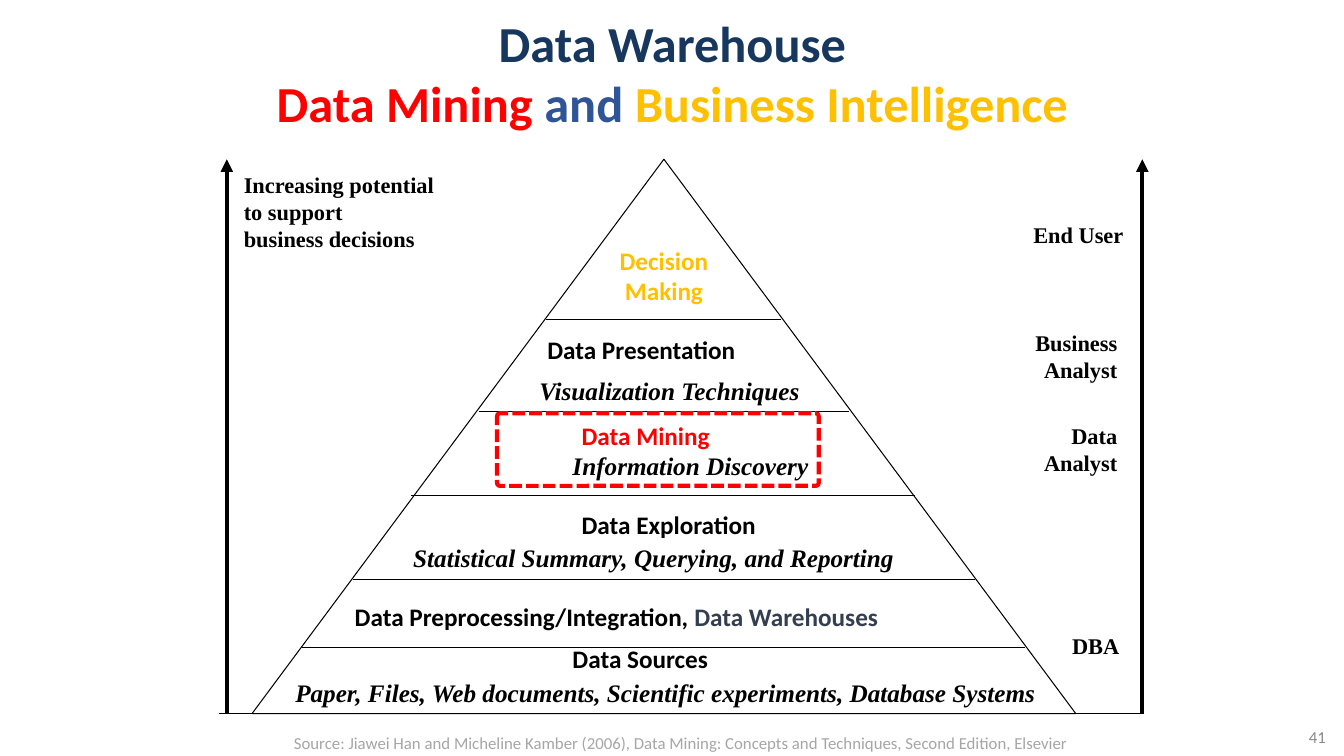
from lxml import etree
from pptx import Presentation
from pptx.dml.color import RGBColor
from pptx.enum.dml import MSO_LINE
from pptx.enum.shapes import MSO_CONNECTOR, MSO_SHAPE
from pptx.enum.text import MSO_ANCHOR, MSO_AUTO_SIZE, PP_ALIGN
from pptx.oxml.ns import qn
from pptx.util import Inches, Pt

BLACK = RGBColor(0x00, 0x00, 0x00)
NAVY = RGBColor(0x17, 0x37, 0x5E)
BLUE = RGBColor(0x2F, 0x55, 0x97)
SLATE = RGBColor(0x33, 0x3F, 0x50)
RED = RGBColor(0xFF, 0x00, 0x00)
GOLD = RGBColor(0xFF, 0xC0, 0x00)
GRAY = RGBColor(0x89, 0x89, 0x89)
LIGHT_GRAY = RGBColor(0xA6, 0xA6, 0xA6)

SANS = "Calibri"
SERIF = "Times New Roman"
LEFT, CENTER, RIGHT = PP_ALIGN.LEFT, PP_ALIGN.CENTER, PP_ALIGN.RIGHT
TOP, MIDDLE = MSO_ANCHOR.TOP, MSO_ANCHOR.MIDDLE
STRAIGHT = MSO_CONNECTOR.STRAIGHT
TRIANGLE = MSO_SHAPE.FLOWCHART_EXTRACT
ROUNDED = MSO_SHAPE.ROUNDED_RECTANGLE
DASHED = MSO_LINE.SQUARE_DOT
FIT_SHAPE, NO_FIT = MSO_AUTO_SIZE.SHAPE_TO_FIT_TEXT, MSO_AUTO_SIZE.NONE


def add_span(para, text, font=SANS, size=18, color=BLACK, bold=True, italic=False):
    span = para.add_run()
    span.text = text
    span.font.name = font
    span.font.size = Pt(size)
    span.font.color.rgb = color
    span.font.bold = bold
    span.font.italic = italic


class SlideBuilder:
    def __init__(self, page, thin=0.75, thick=3):
        self.page = page
        self.thin = thin
        self.thick = thick

    def text(self, place, lines, align=LEFT, anchor=TOP, wrap=False, fit=FIT_SHAPE, **style):
        """Each line is a string, or a list of (text, color) spans."""
        box = self.page.shapes.add_textbox(*map(Inches, place))
        frame = box.text_frame
        frame.word_wrap = wrap
        frame.auto_size = fit
        frame.vertical_anchor = anchor
        for index, line in enumerate(lines):
            para = frame.add_paragraph() if index else frame.paragraphs[0]
            para.alignment = align
            if isinstance(line, str):
                add_span(para, line, **style)
            else:
                for text, color in line:
                    add_span(para, text, color=color, **style)

    def line(self, start, end, arrow=False):
        line = self.page.shapes.add_connector(STRAIGHT, *map(Inches, start + end))
        line.line.color.rgb = BLACK
        line.line.width = Pt(self.thick if arrow else self.thin)
        properties = line.line._get_or_add_ln()
        if arrow:
            etree.SubElement(properties, qn("a:tailEnd"), type="triangle")
        etree.SubElement(properties.getparent(), qn("a:effectLst"))

    def outline(self, kind, place, color=BLACK, width=None, dash=None, corner=None):
        shape = self.page.shapes.add_shape(kind, *map(Inches, place))
        shape.shadow.inherit = False
        shape.fill.background()
        shape.line.color.rgb = color
        shape.line.width = Pt(width or self.thin)
        if dash is not None:
            shape.line.dash_style = dash
        if corner is not None:
            shape.adjustments[0] = corner


def main():
    deck = Presentation()
    deck.slide_width, deck.slide_height = Inches(13.33), Inches(7.5)
    page = deck.slides.add_slide(deck.slide_layouts[6])
    builder = SlideBuilder(page)

    # Title
    builder.text(
        (1.92, 0.21, 9.5, 1.02),
        [[("Data Warehouse", NAVY)],
         [("Data Mining ", RED), ("and ", BLUE), ("Business Intelligence", GOLD)]],
        align=CENTER, anchor=MIDDLE, wrap=True, fit=NO_FIT, size=36)

    # Pyramid and its level lines
    apex_y, base_y = 1.58, 7.08
    builder.outline(TRIANGLE, (2.5, apex_y, 8.17, base_y - apex_y))
    for y, left, right in [(6.42, 3, 10.17), (5.75, 3.5, 9.67), (4.92, 4.08, 9.08),
                           (4.08, 4.75, 8.42), (3.17, 5.42, 7.75), (base_y, 2.17, 11.33)]:
        builder.line((left, y), (right, y))

    # Side arrows
    for x in (2.25, 11.33):
        builder.line((x, base_y), (x, apex_y), arrow=True)

    # Arrow caption and user roles
    builder.text((2.32, 1.65, 2.1, 0.9),
                 ["Increasing potential", "to support", "business decisions"],
                 font=SERIF, size=16)
    for place, lines in [((10.14, 2.14, 1.1, 0.37), ["End User"]),
                         ((10.14, 3.22, 1.04, 0.64), ["Business", "Analyst"]),
                         ((10.24, 4.14, 0.94, 0.64), ["Data", "Analyst"]),
                         ((10.53, 6.22, 0.67, 0.37), ["DBA"])]:
        builder.text(place, lines, align=RIGHT, font=SERIF, size=16)

    # Level names
    builder.text((5.92, 2.38, 1.33, 0.7), ["Decision Making"],
                 align=CENTER, wrap=True, color=GOLD)
    for place, spans in [
        ((5.33, 3.27, 2.08, 0.4), [("Data Presentation", BLACK)]),
        ((5.67, 4.12, 1.95, 0.4), [("Data Mining", RED)]),
        ((5.67, 5, 1.95, 0.4), [("Data Exploration", BLACK)]),
        ((3.42, 5.92, 5.43, 0.4),
         [("Data Preprocessing/Integration, ", BLACK), ("Data Warehouses", SLATE)]),
        ((5.58, 6.33, 1.56, 0.4), [("Data Sources", BLACK)]),
    ]:
        builder.text(place, [spans])

    # Level details
    for place, detail in [
        ((5.25, 3.67, 2.82, 0.4), "Visualization Techniques"),
        ((5.58, 4.42, 2.54, 0.4), "Information Discovery"),
        ((4, 5.33, 5, 0.4), "Statistical Summary, Querying, and Reporting"),
        ((2.83, 6.67, 7.78, 0.4),
         "Paper, Files, Web documents, Scientific experiments, Database Systems"),
    ]:
        builder.text(place, [detail], font=SERIF, italic=True)

    # Highlight around data mining
    builder.outline(ROUNDED, (4.93, 4.1, 3.19, 0.72), color=RED,
                    width=builder.thick, dash=DASHED, corner=0.04)

    # Page number and source
    builder.text((12.2, 7.18, 1.05, 0.26), ["41"], align=RIGHT, anchor=MIDDLE,
                 wrap=True, fit=NO_FIT, size=12, color=GRAY, bold=False)
    builder.text((2.65, 7.22, 8.21, 0.3),
                 ["Source: Jiawei Han and Micheline Kamber (2006), Data Mining: "
                  "Concepts and Techniques, Second Edition, Elsevier"],
                 align=CENTER, wrap=True, size=12, color=LIGHT_GRAY, bold=False)

    deck.save("out.pptx")


if __name__ == "__main__":
    main()
